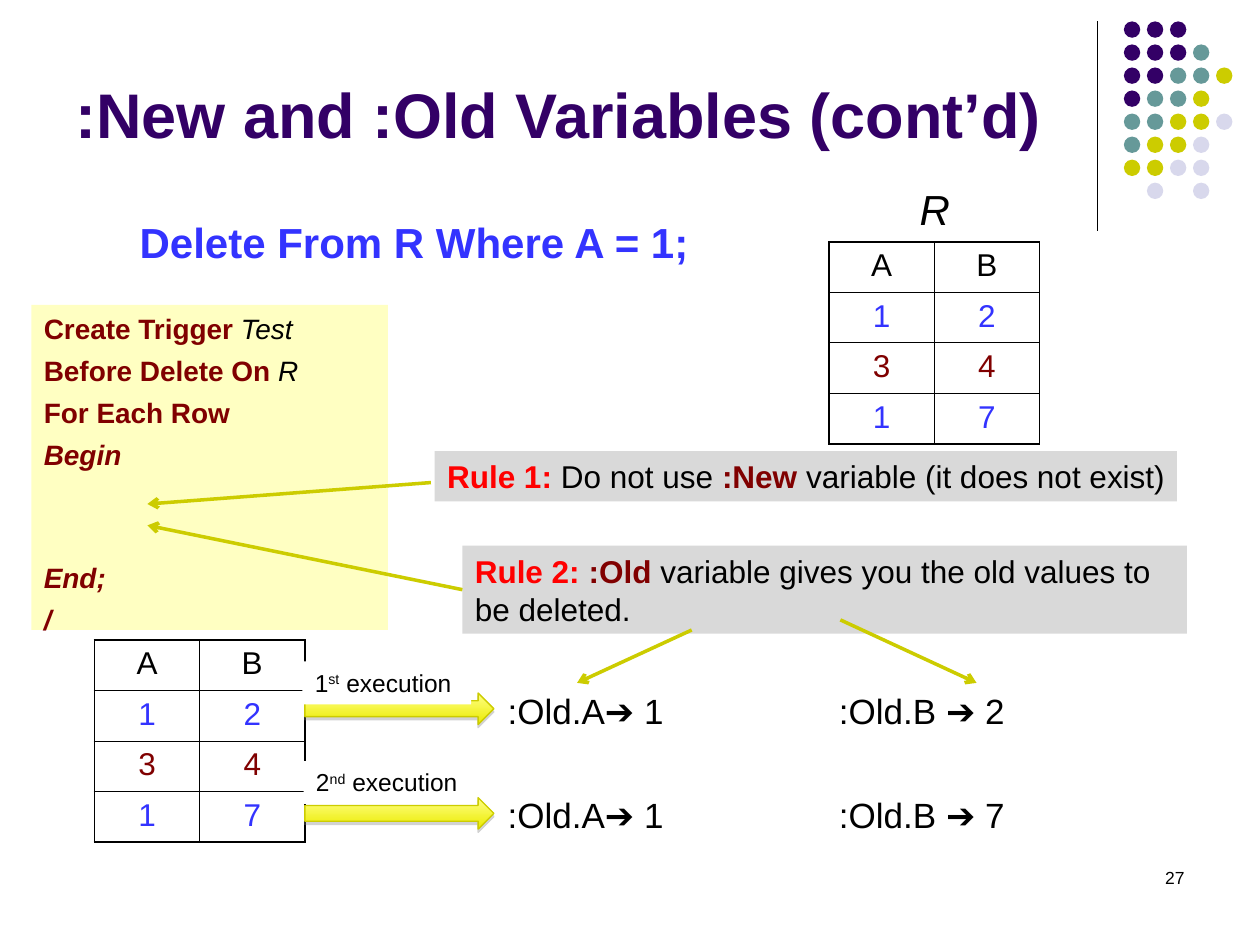
from lxml import etree
from pptx import Presentation
from pptx.dml.color import RGBColor
from pptx.enum.shapes import MSO_CONNECTOR, MSO_SHAPE
from pptx.enum.text import MSO_ANCHOR, PP_ALIGN
from pptx.oxml import parse_xml
from pptx.oxml.ns import nsdecls, qn
from pptx.util import Inches, Pt

STRAIGHT = MSO_CONNECTOR.STRAIGHT
OVAL, RECTANGLE, RIGHT_ARROW = MSO_SHAPE.OVAL, MSO_SHAPE.RECTANGLE, MSO_SHAPE.RIGHT_ARROW
TOP, BOTTOM = MSO_ANCHOR.TOP, MSO_ANCHOR.BOTTOM
LEFT, CENTER, RIGHT = PP_ALIGN.LEFT, PP_ALIGN.CENTER, PP_ALIGN.RIGHT


class Theme:
    font = "Arial"
    black, white = RGBColor(0, 0, 0), RGBColor(255, 255, 255)
    purple = RGBColor.from_string("330066")
    teal = RGBColor.from_string("669999")
    olive = RGBColor.from_string("CCCC00")
    lavender = RGBColor.from_string("D8D8EC")
    blue = RGBColor.from_string("3333FF")
    maroon = RGBColor.from_string("800000")
    red = RGBColor.from_string("FF0000")
    code_fill = RGBColor.from_string("FFFFC2")
    rule_fill = RGBColor.from_string("D9D9D9")
    arrow_top = RGBColor.from_string("FFFF85")
    arrow_bottom = RGBColor.from_string("EBEB00")
    title, heading, value, body, code, label, number = 36, 24, 20, 18, 16, 14, 10


def put_text(left, top, width, height, size, paragraphs, fill=None, wrap=False,
             align=LEFT, anchor=TOP):
    place = Inches(left), Inches(top), Inches(width), Inches(height)
    if fill is None:
        box = slide.shapes.add_textbox(*place)
    else:
        box = slide.shapes.add_shape(RECTANGLE, *place)
        box.shadow.inherit = False
        box.fill.solid()
        box.fill.fore_color.rgb = fill
        box.line.fill.background()
    frame = box.text_frame
    frame.word_wrap = wrap
    frame.vertical_anchor = anchor
    for index, pieces in enumerate(paragraphs):
        paragraph = frame.add_paragraph() if index else frame.paragraphs[0]
        paragraph.alignment = align
        for text, color, style in pieces:
            run = paragraph.add_run()
            run.text = text
            run.font.name = Theme.font
            run.font.size = Pt(size)
            run.font.color.rgb = color
            run.font.bold = "b" in style
            run.font.italic = "i" in style
            if "^" in style:
                run.font._element.set("baseline", "30000")
    return box


def draw_line(x1, y1, x2, y2, color, width, arrow=True):
    line = slide.shapes.add_connector(STRAIGHT, Inches(x1), Inches(y1), Inches(x2), Inches(y2))
    line.line.color.rgb = color
    line.line.width = Pt(width)
    if arrow:
        etree.SubElement(line.line._get_or_add_ln(), qn("a:tailEnd"), type="arrow")
    etree.SubElement(line._element.spPr, qn("a:effectLst"))
    return line


prs = Presentation()
prs.slide_width, prs.slide_height = Inches(10), Inches(7.5)
slide = prs.slides.add_slide(prs.slide_layouts[6])

draw_line(8.71, 0.17, 8.71, 1.83, Theme.black, 0.75, arrow=False)
dot_colors = {"P": Theme.purple, "T": Theme.teal, "Y": Theme.olive, "L": Theme.lavender}
dot_rows = ["PPP", "PPPT", "PPTTY", "PTTY", "TTYYL", "TYYL", "YYLL", " L L"]
dot_pitch = 1.28 / 7
for row, letters in enumerate(dot_rows):
    for col, letter in enumerate(letters):
        if letter in dot_colors:
            dot = slide.shapes.add_shape(
                OVAL, Inches(8.92 + col * dot_pitch), Inches(0.17 + row * dot_pitch),
                Inches(0.13), Inches(0.13))
            dot.shadow.inherit = False
            dot.fill.solid()
            dot.fill.fore_color.rgb = dot_colors[letter]
            dot.line.fill.background()

put_text(0.5, 0.13, 8.25, 1.12, Theme.title,
         [[(":New and :Old Variables (cont’d)", Theme.purple, "b")]], wrap=True, anchor=BOTTOM)
put_text(7.17, 6.83, 2.33, 0.5, Theme.number, [[("27", Theme.black, "")]],
         wrap=True, align=RIGHT)
put_text(7.2, 1.41, 0.44, 0.5, Theme.heading, [[("R", Theme.black, "i")]])
put_text(1.01, 1.67, 4.58, 0.5, Theme.heading,
         [[("Delete From R Where A = 1;", Theme.blue, "b")]])

relation = [("A", "B", Theme.black), ("1", "2", Theme.blue),
            ("3", "4", Theme.maroon), ("1", "7", Theme.blue)]
for left, top in [(6.58, 1.92), (0.75, 5.08)]:
    table = slide.shapes.add_table(4, 2, Inches(left), Inches(top),
                                   Inches(1.67), Inches(1.6)).table
    table.first_row = table.horz_banding = False
    for row, (*values, color) in enumerate(relation):
        for col, value in enumerate(values):
            cell = table.cell(row, col)
            cell.text = value
            paragraph = cell.text_frame.paragraphs[0]
            paragraph.alignment = CENTER
            font = paragraph.runs[0].font
            font.name, font.size, font.color.rgb = Theme.font, Pt(Theme.body), color
            outer = {"L": col == 0, "R": col == 1, "T": row == 0, "B": row == 3}
            for side, is_outer in outer.items():
                width = Pt(1.08 if is_outer else 0.45)
                cell._tc.get_or_add_tcPr().append(parse_xml(
                    f'<a:ln{side} {nsdecls("a")} w="{width}"><a:solidFill>'
                    f'<a:srgbClr val="{Theme.black}"/></a:solidFill></a:ln{side}>'))
            cell.fill.background()

trigger = put_text(0.25, 2.42, 2.83, 2.58, Theme.code, [
    [("Create Trigger ", Theme.maroon, "b"), ("Test", Theme.black, "i")],
    [("Before Delete On ", Theme.maroon, "b"), ("R", Theme.black, "i")],
    [("For Each Row", Theme.maroon, "b")],
    [("Begin", Theme.maroon, "bi")],
    [("End;", Theme.maroon, "bi")],
    [("/", Theme.maroon, "bi")],
], fill=Theme.code_fill, wrap=True)
for paragraph in trigger.text_frame.paragraphs[1:]:
    paragraph.space_before = Pt(51.4 if paragraph.text == "End;" else 4.8)

put_text(3.45, 3.58, 5.89, 0.4, Theme.body, [[
    ("Rule 1: ", Theme.red, "b"), ("Do not use ", Theme.black, ""),
    (":New ", Theme.maroon, "b"), ("variable (it does not exist)", Theme.black, ""),
]], fill=Theme.rule_fill)
old_rule = put_text(3.67, 4.33, 5.75, 0.7, Theme.body, [[
    ("Rule 2: ", Theme.red, "b"), (":Old", Theme.maroon, "b"),
    (" variable gives you the old values to be deleted.", Theme.black, ""),
]], fill=Theme.rule_fill, wrap=True)

draw_line(3.42, 3.83, 1.17, 4, Theme.olive, 2)
draw_line(3.67, 4.68, 1.17, 4.17, Theme.olive, 2).begin_connect(old_rule, 1)
draw_line(5.49, 5, 4.58, 5.42, Theme.olive, 2)
draw_line(6.67, 4.92, 7.75, 5.42, Theme.olive, 2)

executions = [(5.42, "2", 2.4, 5.25, 1.34, "1", "st"), (6.25, "7", 2.41, 6.04, 1.37, "2", "nd")]
for top, old_b, label_left, label_top, label_width, ordinal, suffix in executions:
    put_text(3.93, top, 1.48, 0.44, Theme.value, [[(":Old.A➔ 1", Theme.black, "")]])
    put_text(6.56, top, 1.64, 0.44, Theme.value, [[(f":Old.B ➔ {old_b}", Theme.black, "")]])
    arrow = slide.shapes.add_shape(RIGHT_ARROW, Inches(2.42), Inches(top + 0.08),
                                   Inches(1.5), Inches(0.25))
    arrow.fill.gradient()
    arrow.fill.gradient_angle = 270
    for stop, color in zip(arrow.fill.gradient_stops, [Theme.arrow_top, Theme.arrow_bottom]):
        stop.color.rgb = color
    arrow.line.color.rgb = Theme.olive
    arrow.line.width = Pt(0.75)
    arrow._element.spPr.append(parse_xml(
        f'<a:effectLst {nsdecls("a")}><a:outerShdw dist="{Pt(1.8)}" dir="5400000">'
        '<a:srgbClr val="808080"><a:alpha val="35000"/></a:srgbClr>'
        '</a:outerShdw></a:effectLst>'))
    put_text(label_left, label_top, label_width, 0.34, Theme.label, [[
        (ordinal, Theme.black, ""), (suffix, Theme.black, "^"), (" execution", Theme.black, ""),
    ]], fill=Theme.white)

prs.save("out.pptx")
